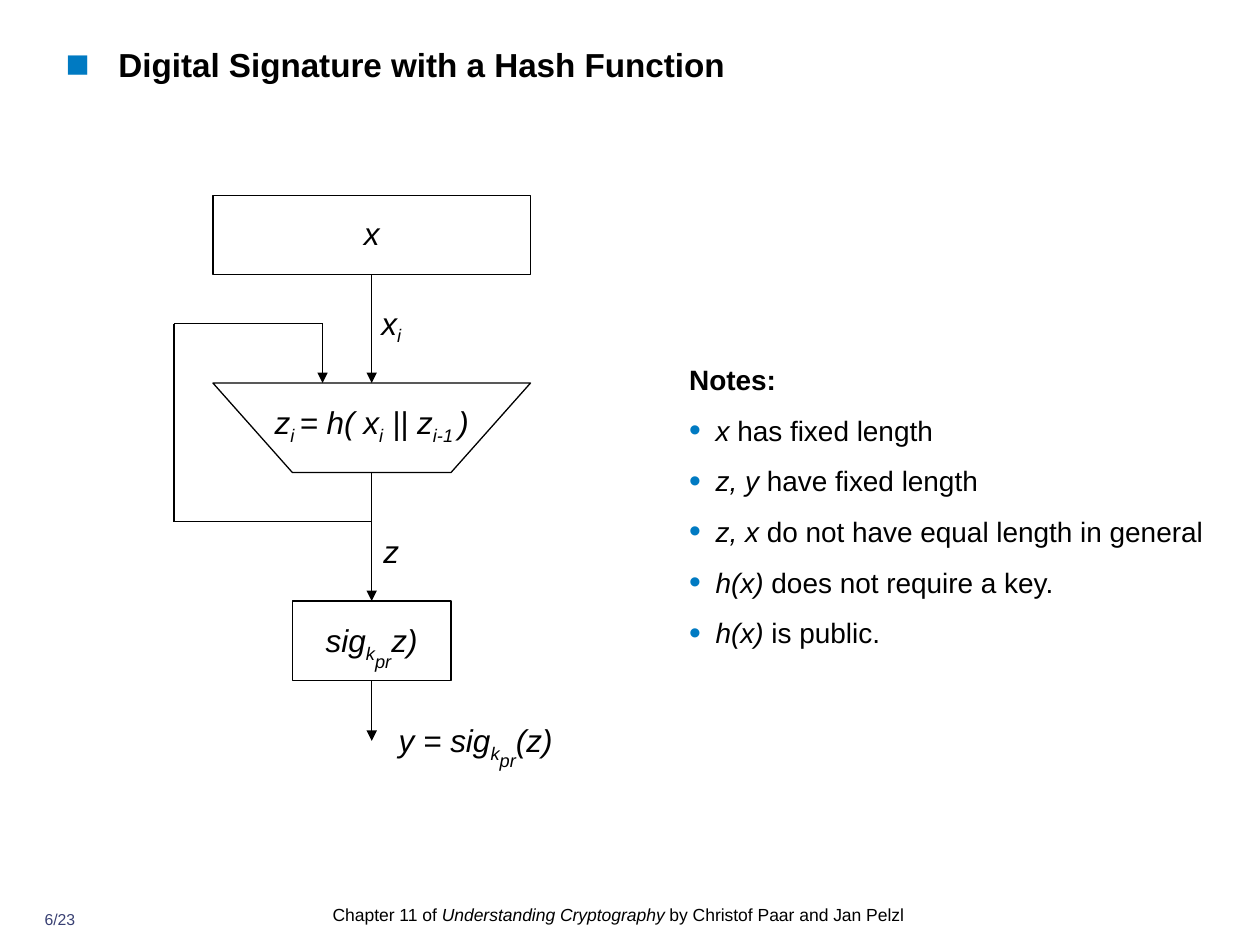
from lxml.etree import SubElement
from pptx import Presentation
from pptx.dml.color import RGBColor
from pptx.enum.shapes import MSO_CONNECTOR, MSO_SHAPE
from pptx.enum.text import MSO_ANCHOR, MSO_AUTO_SIZE, PP_ALIGN
from pptx.oxml.ns import qn
from pptx.util import Inches, Pt

BLACK = RGBColor(0x00, 0x00, 0x00)
BLUE = RGBColor(0x00, 0x7A, 0xC2)
SLATE = RGBColor(0x39, 0x40, 0x73)
FONT = "Arial"

AXIS = 2.95
LOOP_LEFT, LOOP_RIGHT = 1.38, 2.56
LOOP_TOP, LOOP_BOTTOM = 2.57, 4.14
HASH_TOP, HASH_BOTTOM = 3.04, 3.75
WIDE, NARROW, BOX_HEIGHT = 2.52, 1.26, 0.63
MESSAGE_TOP, SIGN_TOP, OUTPUT_END = 1.55, 4.77, 5.88

NOTES = [
    ("x ", "has fixed length"),
    ("z, y", " have fixed length"),
    ("z, x ", "do not have equal length in general"),
    ("h(x)", " does not require a key."),
    ("h(x)", " is public."),
]


def add_bullet(p, char, indent):
    """Give a paragraph a blue hanging bullet."""
    pPr = p._p.get_or_add_pPr()
    pPr.set("marL", str(Inches(indent)))
    pPr.set("indent", str(-Inches(indent)))
    SubElement(SubElement(pPr, qn("a:buClr")), qn("a:srgbClr")).set("val", str(BLUE))
    SubElement(pPr, qn("a:buSzPct")).set("val", "120000")
    SubElement(pPr, qn("a:buFont")).set("typeface", FONT)
    SubElement(pPr, qn("a:buChar")).set("char", char)


def add_run(p, text, size=18, color=BLACK, bold=False, italic=False, baseline=0):
    """Append formatted text to a paragraph."""
    r = p.add_run()
    r.text = text
    font = r.font
    font.name, font.size, font.bold, font.italic = FONT, Pt(size), bold, italic
    font.color.rgb = color
    if baseline:
        r._r.get_or_add_rPr().set("baseline", str(baseline * 1000))


def format_frame(tf):
    """Make a text frame wrap from its top edge without margins."""
    tf.word_wrap = True
    tf.auto_size = MSO_AUTO_SIZE.NONE
    tf.vertical_anchor = MSO_ANCHOR.TOP
    tf.margin_left = tf.margin_right = tf.margin_top = tf.margin_bottom = 0


def add_text_box(s, left, top, width, height):
    """Add an empty text box and return its text frame."""
    tf = s.shapes.add_textbox(
        Inches(left), Inches(top), Inches(width), Inches(height)).text_frame
    format_frame(tf)
    return tf


def add_formula(s, left, top, width, height, *parts):
    """Add a centred italic formula from (text, baseline) parts."""
    p = add_text_box(s, left, top, width, height).paragraphs[0]
    p.alignment = PP_ALIGN.CENTER
    for text, baseline in parts:
        add_run(p, text, italic=True, baseline=baseline)


def style_outline(sp):
    """Leave a shape unfilled with a thin black outline."""
    sp.shadow.inherit = False
    sp.fill.background()
    sp.line.color.rgb = BLACK
    sp.line.width = Pt(0.75)


def add_box(s, top, width):
    """Add a rectangle centred on the flow axis."""
    style_outline(s.shapes.add_shape(
        MSO_SHAPE.RECTANGLE, Inches(AXIS - width / 2), Inches(top),
        Inches(width), Inches(BOX_HEIGHT)))


def add_hash_funnel(s):
    """Add the funnel that stands for the hash function."""
    points = [(Inches(AXIS + dx / 2), Inches(y)) for dx, y in (
        (-WIDE, HASH_TOP), (-NARROW, HASH_BOTTOM),
        (NARROW, HASH_BOTTOM), (WIDE, HASH_TOP))]
    builder = s.shapes.build_freeform(*points[0])
    builder.add_line_segments(points[1:], close=True)
    style_outline(builder.convert_to_shape())


def add_line(s, start, end, arrow=False):
    """Add a straight line, with an arrowhead at its end if wanted."""
    line = s.shapes.add_connector(
        MSO_CONNECTOR.STRAIGHT, *(Inches(v) for v in (*start, *end)))
    line.line.color.rgb = BLACK
    line.line.width = Pt(0.75)
    if arrow:
        SubElement(line.line._get_or_add_ln(), qn("a:tailEnd")).set("type", "triangle")
    SubElement(line._element.spPr, qn("a:effectLst"))


def add_title(s, text):
    """Place and fill the title placeholder."""
    title = s.shapes.title
    title.left, title.top = Inches(0.52), Inches(0.35)
    title.width, title.height = Inches(7.07), Inches(0.56)
    format_frame(title.text_frame)
    p = title.text_frame.paragraphs[0]
    add_bullet(p, "■", 0.42)
    p.alignment = PP_ALIGN.LEFT
    add_run(p, text, size=19, bold=True)


def add_notes(s):
    """Add the heading and the bulleted notes."""
    tf = add_text_box(s, 5.47, 2.81, 4.1, 2.35)
    heading = tf.paragraphs[0]
    heading.line_spacing = 1.25
    add_run(heading, "Notes:", size=16, bold=True)
    for symbol, statement in NOTES:
        p = tf.add_paragraph()
        add_bullet(p, "•", 0.21)
        p.line_spacing = 1.25
        p.space_before = Pt(5)
        add_run(p, symbol, size=16, italic=True)
        add_run(p, statement, size=16)


def add_diagram(s):
    """Add the signing flow with its feedback loop."""
    wide_left, narrow_left = AXIS - WIDE / 2, AXIS - NARROW / 2
    add_box(s, MESSAGE_TOP, WIDE)
    add_hash_funnel(s)
    add_box(s, SIGN_TOP, NARROW)

    for start, end in ((MESSAGE_TOP + BOX_HEIGHT, HASH_TOP),
                       (HASH_BOTTOM, SIGN_TOP),
                       (SIGN_TOP + BOX_HEIGHT, OUTPUT_END)):
        add_line(s, (AXIS, start), (AXIS, end), arrow=True)
    loop = [(AXIS, LOOP_BOTTOM), (LOOP_LEFT, LOOP_BOTTOM), (LOOP_LEFT, LOOP_TOP),
            (LOOP_RIGHT, LOOP_TOP), (LOOP_RIGHT, HASH_TOP)]
    for start, end in zip(loop, loop[1:]):
        add_line(s, start, end, arrow=end == loop[-1])

    key = (("k", -25), ("pr", -50))
    add_formula(s, wide_left, 1.7, WIDE, 0.3, ("x", 0))
    add_formula(s, wide_left, 3.2, WIDE, 0.34, ("z", 0), ("i ", -25), ("= h( x", 0),
                ("i", -25), (" || z", 0), ("i-1 ", -25), (")", 0))
    add_formula(s, narrow_left, 4.93, NARROW, 0.4, ("sig", 0), *key, ("z)", 0))
    add_formula(s, 2.87, 2.41, 0.47, 0.34, ("x", 0), ("i", -25))
    add_formula(s, 2.87, 4.22, 0.47, 0.3, ("z", 0))
    add_formula(s, AXIS, 5.72, 1.65, 0.4, ("y = sig", 0), *key, ("(z)", 0))


def add_footer(s):
    """Add the page number and the book reference."""
    p = add_text_box(s, 0.2, 7.22, 0.55, 0.24).paragraphs[0]
    p.alignment = PP_ALIGN.CENTER
    add_run(p, "6/23", size=9, color=SLATE)
    p = add_text_box(s, 2.64, 7.14, 4.73, 0.28).paragraphs[0]
    p.line_spacing = 1.2
    add_run(p, "Chapter 11 of ", size=10)
    add_run(p, "Understanding Cryptography", size=10, italic=True)
    add_run(p, " by Christof Paar and Jan Pelzl", size=10)


def main():
    """Build and save the slide."""
    prs = Presentation()
    prs.slide_width, prs.slide_height = Inches(10), Inches(7.5)
    s = prs.slides.add_slide(prs.slide_layouts[5])
    add_title(s, "Digital Signature with a Hash Function")
    add_footer(s)
    add_notes(s)
    add_diagram(s)
    prs.save("out.pptx")


if __name__ == "__main__":
    main()
